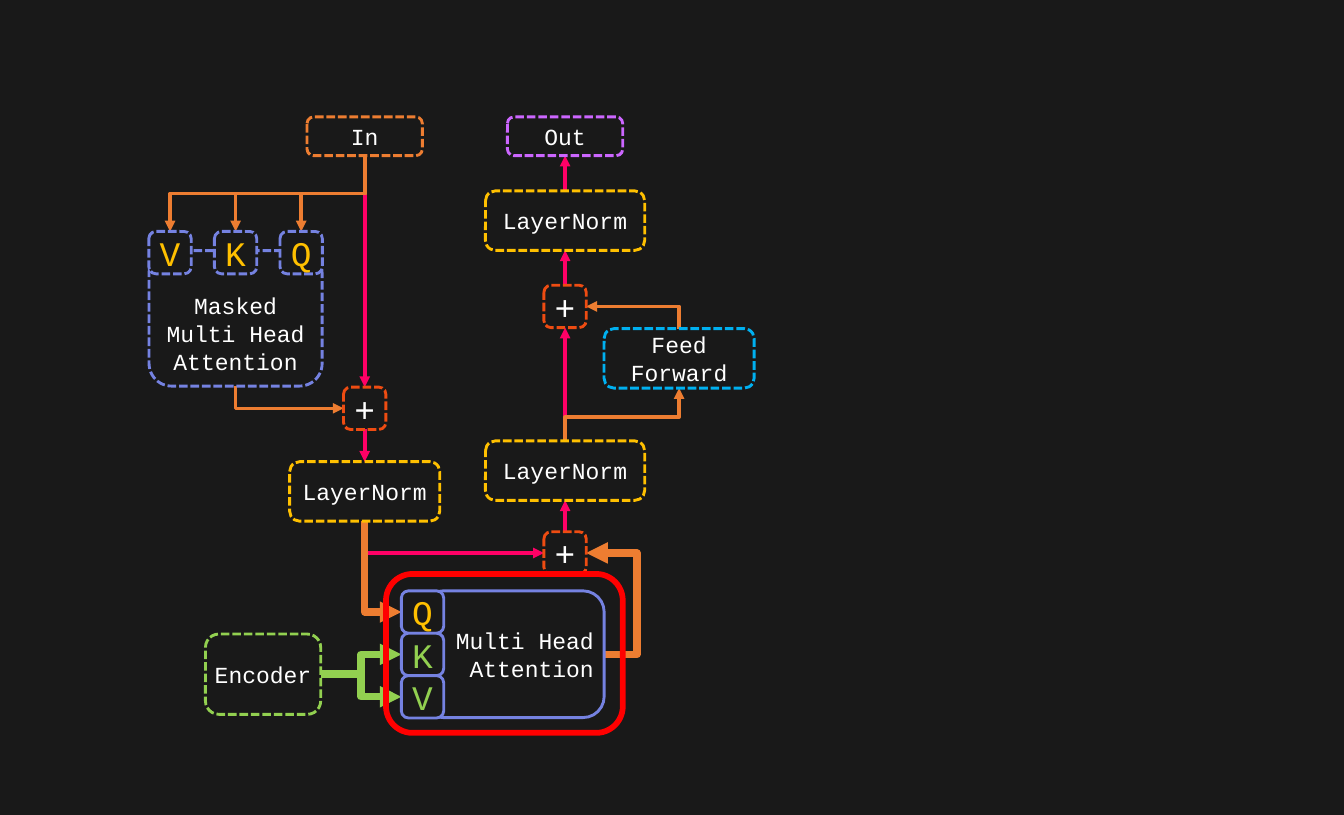
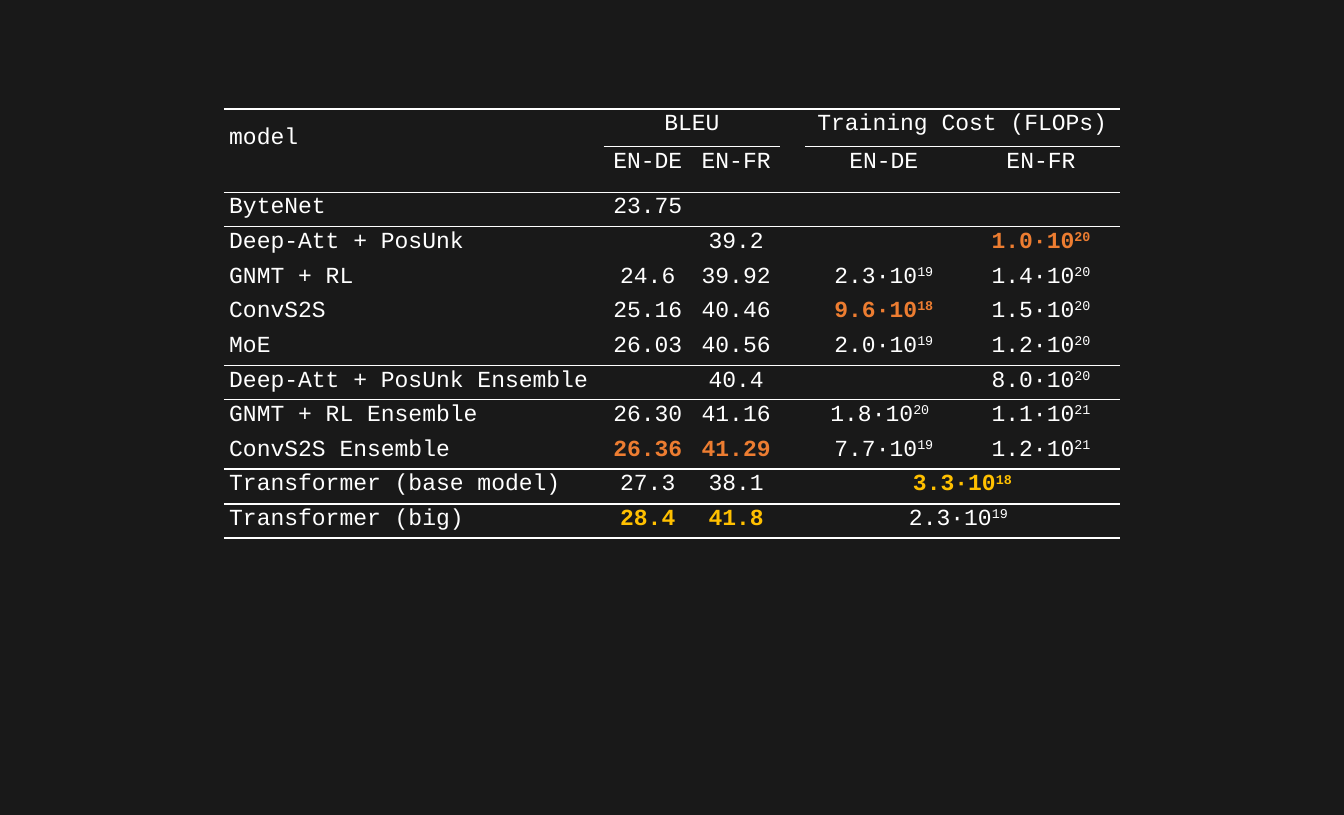
from lxml.etree import SubElement
from pptx import Presentation
from pptx.dml.color import RGBColor
from pptx.enum.dml import MSO_LINE
from pptx.enum.shapes import MSO_CONNECTOR, MSO_SHAPE
from pptx.enum.text import MSO_ANCHOR, PP_ALIGN
from pptx.oxml.ns import qn
from pptx.util import Cm, Pt

# Shared look
FONT = "Courier New"
DARK = RGBColor(0x19, 0x19, 0x19)
WHITE = RGBColor(0xFF, 0xFF, 0xFF)
ORANGE = RGBColor(0xED, 0x7D, 0x31)
PINK = RGBColor(0xFF, 0x00, 0x66)
PURPLE = RGBColor(0xCC, 0x66, 0xFF)
INDIGO = RGBColor(0x75, 0x82, 0xE1)
SKY = RGBColor(0x00, 0xB0, 0xF0)
RUST = RGBColor(0xEE, 0x4C, 0x12)
GOLD = RGBColor(0xFF, 0xC0, 0x00)
GREEN = RGBColor(0x92, 0xD0, 0x50)
RED = RGBColor(0xFF, 0x00, 0x00)


def write(para, text, size=32, color=WHITE, bold=False, raised=False):
    run = para.add_run()
    run.text = text
    font = run.font
    font.name, font.size, font.bold = FONT, Pt(size), bold
    font.color.rgb = color
    if raised:
        run._r.get_or_add_rPr().set("baseline", "30000")


deck = Presentation()
deck.slide_width, deck.slide_height = Cm(66), Cm(40)
back = deck.slide_master.background.fill
back.solid()
back.fore_color.rgb = DARK
blank = deck.slide_layouts[6]

# Slide 1: decoder diagram, lengths in cm
slide = deck.slides.add_slide(blank)
LEFT, RIGHT, FEED, MASK = 17.91, 27.75, 33.35, 11.57  # column centres
STEP, SIDE = 3.22, 2.08  # gap between masked inputs, side of small boxes
PORT = 20.75  # centre of the Q, K, V inputs below
EDGE = PORT - SIDE / 2
HEADS = [29 + SIDE * i for i in range(3)]
MID = HEADS[1] + SIDE / 2

# Arrows: start, end, colour, width, route, bend
wires = [
    (LEFT, 7.64, LEFT, 19, PINK, 5, "line", None),
    (LEFT, 21.08, LEFT, 22.66, PINK, 5, "line", None),
    (RIGHT, 26.1, RIGHT, 24.56, PINK, 5, "line", None),
    (RIGHT, 21.64, RIGHT, 16.08, PINK, 5, "line", None),
    (RIGHT, 14, RIGHT, 12.29, PINK, 5, "line", None),
    (RIGHT, 9.37, RIGHT, 7.64, PINK, 5, "line", None),
    (LEFT, 25.58, RIGHT - SIDE / 2, 27.14, PINK, 5, "corner", None),
    (29.67, MID, RIGHT + SIDE / 2, 27.14, ORANGE, 10, "side", -1.83),
    (LEFT, 25.58, EDGE, HEADS[0] + SIDE / 2, ORANGE, 10, "corner", None),
    (MASK, 18.95, LEFT - SIDE / 2, 20.04, ORANGE, 5, "corner", None),
    (FEED, 16.13, RIGHT + SIDE / 2, 15.04, ORANGE, 5, "corner", None),
    (RIGHT, 21.64, FEED, 19.05, ORANGE, 5, "step", 0.45),
]
for i in (-1, 0, 1):
    wires.append((LEFT, 7.64, MASK + i * STEP, 11.36, ORANGE, 5, "step", 0.5))
for top in HEADS[1:]:
    wires.append((15.75, 33.08, EDGE, top + SIDE / 2, GREEN, 10, "side", 0.5))

for x1, y1, x2, y2, color, width, route, bend in wires:
    kind = MSO_CONNECTOR.STRAIGHT if route == "line" else MSO_CONNECTOR.ELBOW
    wire = slide.shapes.add_connector(kind, Cm(x1), Cm(y1), Cm(x2), Cm(y2))
    props = wire._element.spPr
    geom = props.find(qn("a:prstGeom"))
    if route in ("corner", "step"):  # leaves vertically: turn the frame
        wide, high = abs(y2 - y1), abs(x2 - x1)
        wire.left, wire.top = Cm((x1 + x2 - wide) / 2), Cm((y1 + y2 - high) / 2)
        wire.width, wire.height = Cm(wide), Cm(high)
        frame = props.xfrm
        frame.rot = 90 if (x2 - x1) * (y2 - y1) < 0 else 270
        frame.flipH, frame.flipV = x2 > x1, y2 < y1
    if route == "corner":
        geom.set("prst", "bentConnector2")
    if bend is not None:
        SubElement(geom.find(qn("a:avLst")), qn("a:gd"),
                   name="adj1", fmla=f"val {round(bend * 100000)}")
    wire.line.color.rgb = color
    wire.line.width = Pt(width)
    SubElement(wire.line._get_or_add_ln(), qn("a:tailEnd"), type="triangle")
    SubElement(props, qn("a:effectLst"))

# Boxes: centre, top, width, height, text, line colour, dashed
boxes = [
    (LEFT, 5.74, 5.66, 1.9, "In", ORANGE, True),
    (RIGHT, 5.74, 5.66, 1.9, "Out", PURPLE, True),
    (MASK, 12.3, 8.5, 6.65, "Masked Multi Head Attention", INDIGO, True),
    (FEED, 16.13, 7.37, 2.92, "Feed Forward", SKY, True),
    (LEFT, 22.66, 7.37, 2.92, "LayerNorm", GOLD, True),
    (RIGHT, 21.64, 7.82, 2.92, "LayerNorm", GOLD, True),
    (RIGHT, 9.37, 7.82, 2.92, "LayerNorm", GOLD, True),
    (12.92, 31.12, 5.66, 3.94, "Encoder", GREEN, True),
    (25.2, 29, 8.94, 6.22, "Multi Head Attention", INDIGO, False),
]
for x, y in ((LEFT, 19), (RIGHT, 26.1), (RIGHT, 14)):
    boxes.append((x, y, SIDE, SIDE, "+", RUST, True))
for i, name in enumerate("VKQ"):
    boxes.append((MASK + (i - 1) * STEP, 11.36, SIDE, SIDE, name, INDIGO, True))
for top, name in zip(HEADS, "QKV"):
    boxes.append((PORT, top, SIDE, SIDE, name, INDIGO, False))
boxes.append((24.77, 28.17, 11.63, 7.8, "", RED, False))

for x, y, wide, high, text, color, dashed in boxes:
    box = slide.shapes.add_shape(MSO_SHAPE.ROUNDED_RECTANGLE, Cm(x - wide / 2),
                                 Cm(y), Cm(wide), Cm(high))
    box.shadow.inherit = False
    box.line.color.rgb = color
    box.line.width = Pt(4 if text else 8)
    if dashed:
        box.line.dash_style = MSO_LINE.SQUARE_DOT
    box.fill.background()
    ink = WHITE
    if text in ("Q", "K", "V"):
        box.fill.solid()
        box.fill.fore_color.rgb = DARK
        ink = GOLD if dashed or text == "Q" else GREEN
    if not text:
        continue
    body = box.text_frame
    body.word_wrap = True
    body.vertical_anchor = MSO_ANCHOR.MIDDLE
    body.margin_left = body.margin_right = Cm(0.2)
    if text.startswith("Masked"):
        body.margin_top = Cm(1.6)
    para = body.paragraphs[0]
    para.alignment = PP_ALIGN.RIGHT if text.startswith("Multi") else PP_ALIGN.CENTER
    write(para, text, 48 if len(text) == 1 else 32, ink)

# Slide 2: results table; ^ marks a raised exponent
slide = deck.slides.add_slide(blank)
rows = [
    ("model", "BLEU", "", "", "Training Cost (FLOPs)", ""),
    ("", "EN-DE", "EN-FR", "", "EN-DE", "EN-FR"),
    ("ByteNet", "23.75", "", "", "", ""),
    ("Deep-Att + PosUnk", "", "39.2", "", "", "1.0·10^20"),
    ("GNMT + RL", "24.6", "39.92", "", "2.3·10^19", "1.4·10^20"),
    ("ConvS2S", "25.16", "40.46", "", "9.6·10^18", "1.5·10^20"),
    ("MoE", "26.03", "40.56", "", "2.0·10^19", "1.2·10^20"),
    ("Deep-Att + PosUnk Ensemble", "", "40.4", "", "", "8.0·10^20"),
    ("GNMT + RL Ensemble", "26.30", "41.16", "", "1.8·10^20 ", "1.1·10^21"),
    ("ConvS2S Ensemble", "26.36", "41.29", "", "7.7·10^19", "1.2·10^21"),
    ("Transformer (base model)", "27.3", "38.1", "", "3.3·10^18", ""),
    ("Transformer (big)", "28.4", "41.8", "", "2.3·10^19 ", ""),
]
best = {(3, 5): ORANGE, (5, 4): ORANGE, (9, 1): ORANGE, (9, 2): ORANGE,
        (10, 4): GOLD, (11, 1): GOLD, (11, 2): GOLD}
# Rules: edge above a row -> columns, points
rules = {0: (range(6), 3), 1: ((1, 2, 4, 5), 1.5), 2: (range(6), 1.5),
         7: (range(6), 1.5), 10: (range(6), 3), 12: (range(6), 3)}
widths = (18.64, 4.34, 4.34, 1.22, 7.72, 7.72)
heights = [1.85, 2.21] + [1.7] * 10

grid = slide.shapes.add_table(len(rows), len(widths), Cm(11), Cm(5.33),
                              Cm(sum(widths)), Cm(sum(heights))).table
grid.first_row = grid.horz_banding = False
NO_GRID = "{2D5ABB26-0587-4C30-8999-92F81FD0307C}"
grid._tbl.tblPr.find(qn("a:tableStyleId")).text = NO_GRID
for col, width in zip(grid.columns, widths):
    col.width = Cm(width)
for row, height in zip(grid.rows, heights):
    row.height = Cm(height)

for r, texts in enumerate(rows):
    for c, text in enumerate(texts):
        cell = grid.cell(r, c)
        props = cell._tc.get_or_add_tcPr()
        for tag, edge in (("a:lnT", r), ("a:lnB", r + 1)):
            cols, points = rules.get(edge, ((), 0))
            if c in cols:
                rule = SubElement(props, qn(tag), w=str(Pt(points)))
                paint = SubElement(rule, qn("a:solidFill"))
                SubElement(paint, qn("a:srgbClr"), val=str(WHITE))
        cell.fill.background()
        if not text:
            continue
        para = cell.text_frame.paragraphs[0]
        para.alignment = PP_ALIGN.CENTER if c else PP_ALIGN.LEFT
        color, bold = best.get((r, c), WHITE), (r, c) in best
        base, _, power = text.partition("^")
        write(para, base, color=color, bold=bold)
        if power:
            write(para, power, color=color, bold=bold, raised=True)

# Merged cells
for r1, c1, r2, c2 in ((0, 0, 1, 0), (0, 1, 0, 2), (0, 4, 0, 5),
                       (10, 4, 10, 5), (11, 4, 11, 5)):
    grid.cell(r1, c1).merge(grid.cell(r2, c2))
grid.cell(0, 0).margin_top = Cm(0.84)

deck.save("out.pptx")
